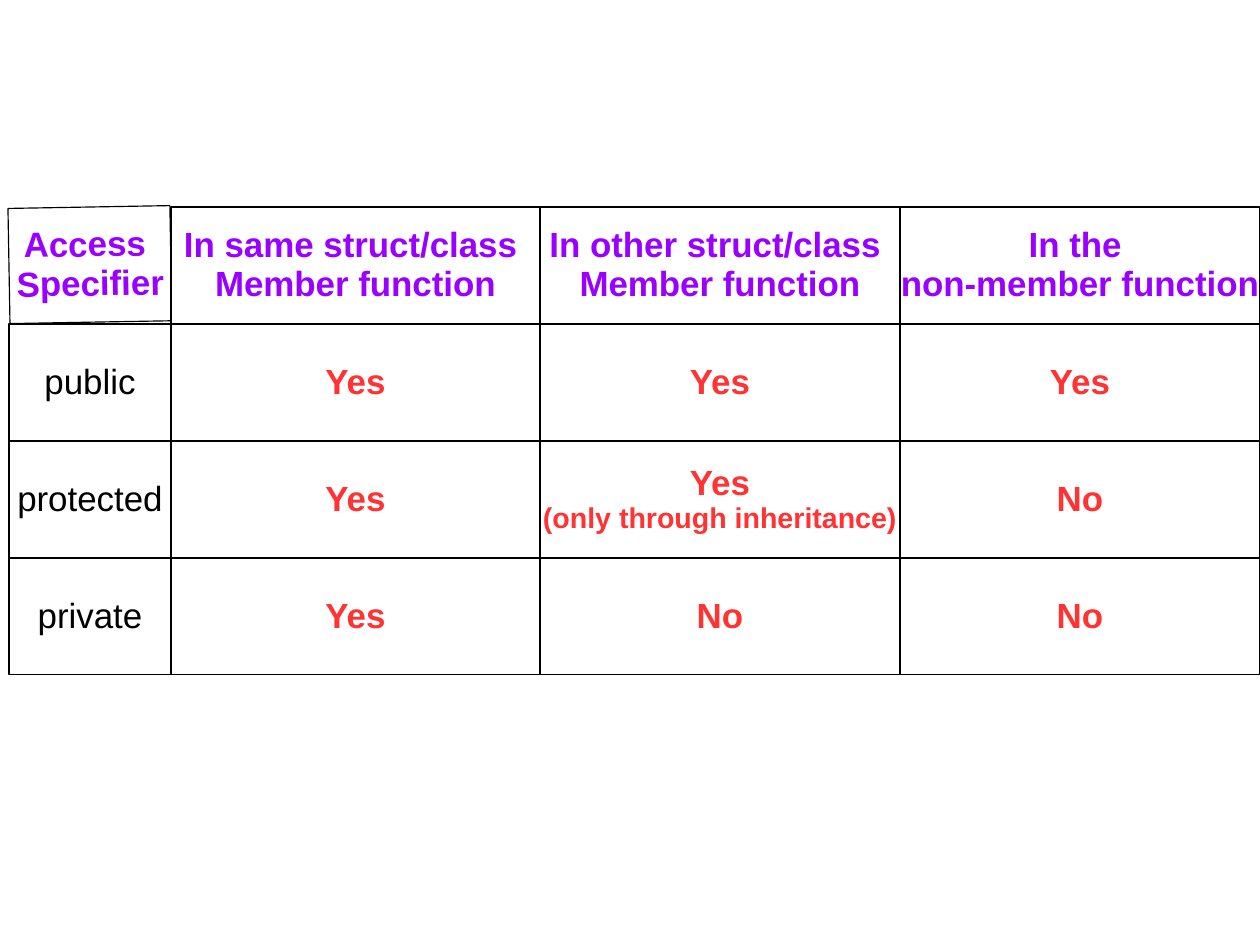
from pptx import Presentation
from pptx.dml.color import RGBColor
from pptx.enum.shapes import MSO_SHAPE
from pptx.enum.text import MSO_ANCHOR, PP_ALIGN
from pptx.util import Cm, Pt

HEADERS = ["Access \nSpecifier", "In same struct/class \nMember function",
           "In other struct/class \nMember function", "In the \nnon-member function"]
SPECIFIERS = ["public", "protected", "private"]
ANSWERS = [
    ["Yes", "Yes", "Yes"],
    ["Yes", "Yes\n(only through inheritance)", "No"],
    ["Yes", "No", "No"],
]

BLACK = RGBColor(0x00, 0x00, 0x00)
WHITE = RGBColor(0xFF, 0xFF, 0xFF)
PURPLE = RGBColor(0x99, 0x00, 0xFF)
RED = RGBColor(0xFF, 0x33, 0x33)

SLIDE_WIDTH, SLIDE_HEIGHT = 28, 21
COLUMN_EDGES = [0.2, 3.8, 12, 20, SLIDE_WIDTH]
GRID_TOP, ROW_HEIGHT = 4.6, 2.6
CORNER_HEIGHT, CORNER_TILT = 2.56, -1
TEXT_SIZE, NOTE_SIZE = 22, 18


def add_cell(slide, row, column, text, color, bold=True):
    """Draw one bordered grid cell with its centred text."""
    left, right = COLUMN_EDGES[column:column + 2]
    shape = slide.shapes.add_shape(
        MSO_SHAPE.RECTANGLE, Cm(left), Cm(GRID_TOP + row * ROW_HEIGHT),
        Cm(right - left), Cm(ROW_HEIGHT))
    shape.shadow.inherit = False
    shape.fill.solid()
    shape.fill.fore_color.rgb = WHITE
    shape.line.color.rgb = BLACK
    shape.line.width = Pt(0.75)

    text_frame = shape.text_frame
    text_frame.word_wrap = False
    text_frame.vertical_anchor = MSO_ANCHOR.MIDDLE
    text_frame.text = text
    for paragraph in text_frame.paragraphs:
        paragraph.alignment = PP_ALIGN.CENTER
        paragraph.line_spacing = 0.94
        for run in paragraph.runs:
            run.font.name = "Arial"
            run.font.size = Pt(NOTE_SIZE if run.text.startswith("(") else TEXT_SIZE)
            run.font.bold = bold
            run.font.color.rgb = color
    return shape


def main():
    """Build the access specifier grid and save it."""
    presentation = Presentation()
    presentation.slide_width = Cm(SLIDE_WIDTH)
    presentation.slide_height = Cm(SLIDE_HEIGHT)
    slide = presentation.slides.add_slide(presentation.slide_layouts[6])

    for row, specifier in enumerate(SPECIFIERS, start=1):
        add_cell(slide, row, 0, specifier, BLACK, bold=False)
    header_cells = [add_cell(slide, 0, column, header, PURPLE)
                    for column, header in enumerate(HEADERS)]
    header_cells[0].height = Cm(CORNER_HEIGHT)
    header_cells[0].rotation = CORNER_TILT
    for column, answers in enumerate(zip(*ANSWERS), start=1):
        for row, answer in enumerate(answers, start=1):
            add_cell(slide, row, column, answer, RED)

    presentation.save("out.pptx")


if __name__ == "__main__":
    main()
